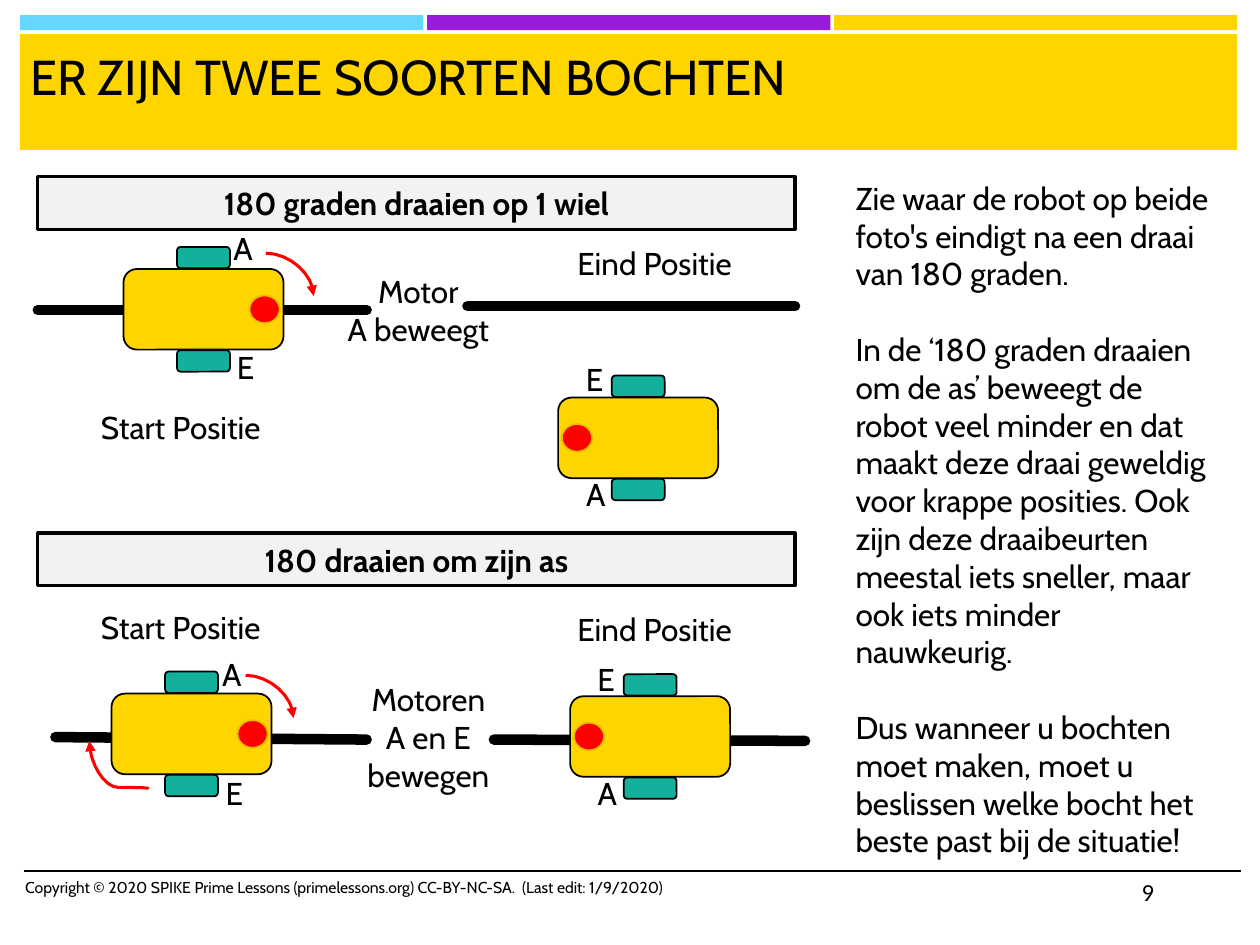
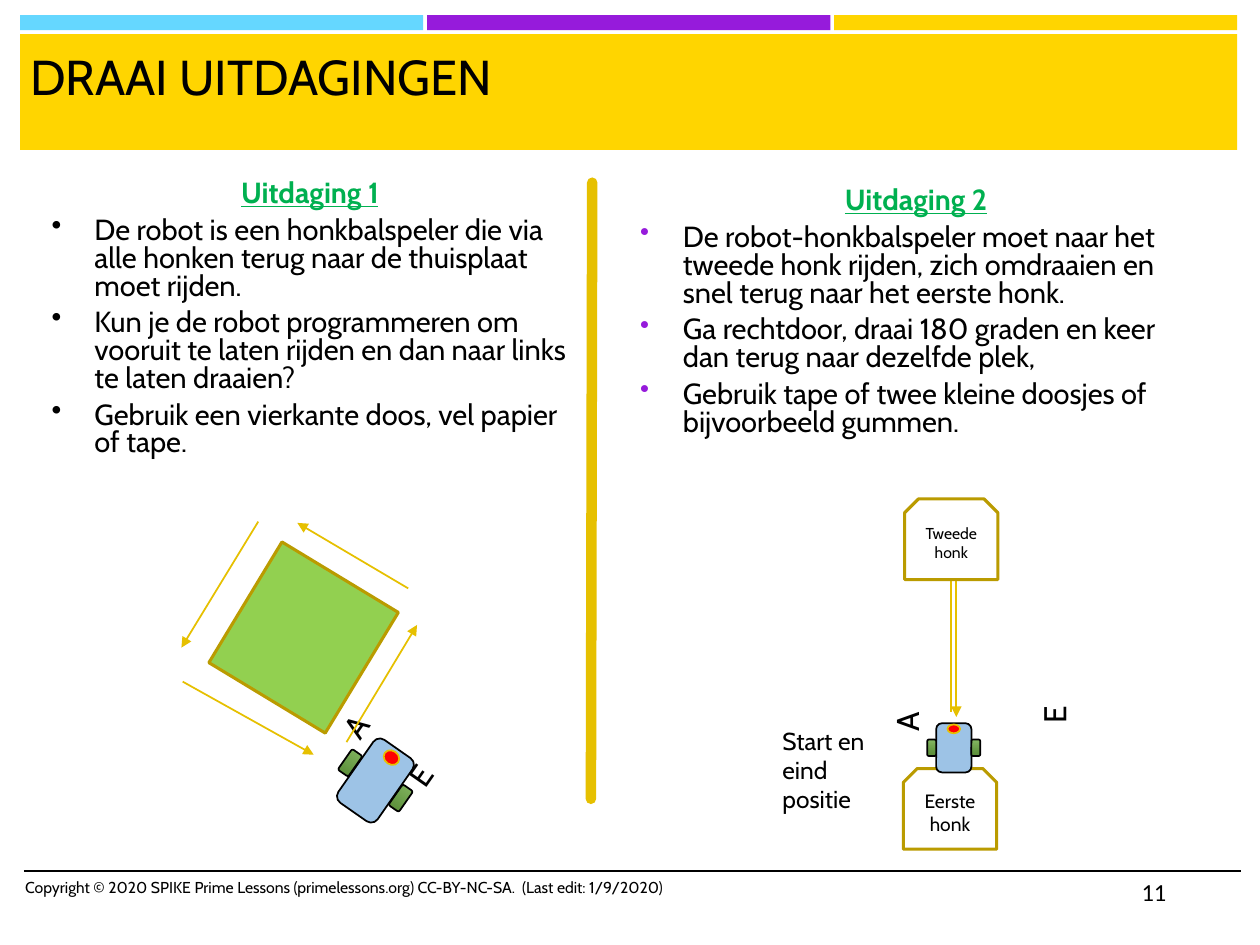
import math
from dataclasses import dataclass
from typing import Any

import lxml.etree
import pptx
import pptx.dml.color
import pptx.enum.shapes
import pptx.enum.text
import pptx.oxml.ns
import pptx.util

COLS, ROWS = 100, 75  # square grid cells, ten to the inch
HUES = {
    "black": "000000", "white": "FFFFFF", "pale": "F2F2F2", "sky": "65D7FF",
    "violet": "961BDB", "gold": "FFD500", "amber": "E6C000", "bronze": "BA9B00",
    "teal": "13B09B", "red": "FF0000", "green": "00B050", "grass": "92D050",
    "blue": "9DC3E6", "leaf": "83B762", "moss": "5E913C",
}
FONT = "Cabin"
FOOT = ("Copyright © 2020 SPIKE Prime Lessons (primelessons.org) CC-BY-NC-SA.  "
        "(Last edit: 1/9/2020)")
KIND = pptx.enum.shapes.MSO_SHAPE
LEFT, MID = pptx.enum.text.PP_ALIGN.LEFT, pptx.enum.text.PP_ALIGN.CENTER
Point = tuple[float, float]
Box = tuple[float, float, float, float]


@dataclass(frozen=True)
class Label:
    text: str
    box: Box
    size: float = 18
    align: Any = LEFT
    turn: float = 0
    bold: bool = False
    font: str = FONT
    gap: float = 0
    mid: bool = False
    wrap: bool = True


@dataclass(frozen=True)
class Line:
    start: Point
    end: Point
    hue: str = "amber"
    width: float = 1
    arrow: bool = True


@dataclass(frozen=True)
class Model:
    """Sizes of a robot that faces up; span and reach run from its centre."""
    body: Point
    wheel: Point
    span: float
    light: Point
    reach: float
    paint: str
    tyre: tuple[str, ...]


BIG = Model((6.4, 12.7), (1.7, 4.2), 4.1, (2.2, 2.4), 4.85, "gold", ("teal",))
TILT = Model((3.8, 6.1), (1, 2), 2.45, (1.3, 1.1), 2.22, "blue", ("leaf", "moss"))
MINI = Model((2.8, 3.9), (0.7, 1.3), 1.75, (1, 0.7), 1.5, "blue", ("leaf", "moss"))


def cell(count: float) -> int:
    return pptx.util.Inches(count / 10)


def color(name: str) -> pptx.dml.color.RGBColor:
    return pptx.dml.color.RGBColor.from_string(HUES[name])


def child(node: Any, tag: str, **attrs: str) -> Any:
    return lxml.etree.SubElement(node, pptx.oxml.ns.qn(tag), **attrs)


def stroke(item: Any, hue: str, width: float, arrow: bool = False) -> None:
    item.line.color.rgb = color(hue)
    item.line.width = pptx.util.Pt(width)
    ln = item.line._get_or_add_ln()
    if width > 2:
        ln.set("cap", "rnd")
    child(ln, "a:round")
    if arrow:
        child(ln, "a:tailEnd", type="triangle")


def form(slide: Any, kind: Any, box: Box, fill: tuple[str, ...],
         edge: str = "", width: float = 1, turn: float = 0) -> Any:
    """Add a preset shape; two fill colours make a gradient from top down."""
    item = slide.shapes.add_shape(kind, *map(cell, box))
    item.shadow.inherit = False
    item.rotation = turn
    if len(fill) == 2:
        item.fill.gradient()
        item.fill.gradient_angle = 270
        for stop, hue, place in zip(item.fill.gradient_stops, fill, (0, 0.84)):
            stop.color.rgb = color(hue)
            stop.position = place
    else:
        item.fill.solid()
        item.fill.fore_color.rgb = color(fill[0])
    if edge:
        stroke(item, edge, width)
    else:
        item.line.fill.background()
    return item


def trace(slide: Any, points: list[Point], closed: bool) -> Any:
    pen = slide.shapes.build_freeform(*map(cell, points[0]), scale=1.0)
    pen.add_line_segments([(cell(x), cell(y)) for x, y in points[1:]], close=closed)
    item = pen.convert_to_shape()
    item.shadow.inherit = False
    return item


def frame(item: Any, wrap: bool = True) -> Any:
    body = item.text_frame
    body.word_wrap = wrap
    for side in ("left", "right", "top", "bottom"):
        setattr(body, f"margin_{side}", cell(0.5))
    return body


def style(para: Any, size: float, hue: str = "black", bold: bool = False,
          font: str = FONT) -> None:
    para.font.size = pptx.util.Pt(size)
    para.font.name = font
    para.font.bold = bold
    para.font.color.rgb = color(hue)


def fill_in(item: Any, label: Label) -> None:
    body = frame(item, label.wrap)
    anchor = pptx.enum.text.MSO_ANCHOR
    body.vertical_anchor = anchor.MIDDLE if label.mid else anchor.TOP
    body.text = label.text
    for index, para in enumerate(body.paragraphs):
        para.alignment = label.align
        if index and label.gap:
            para.space_before = pptx.util.Pt(label.gap)
        style(para, label.size, bold=label.bold, font=label.font)


def write(slide: Any, label: Label) -> None:
    item = slide.shapes.add_textbox(*map(cell, label.box))
    item.rotation = label.turn
    fill_in(item, label)


def letter(slide: Any, text: str, at: Point, turn: float = 0) -> None:
    """Write one motor letter centred on a point."""
    write(slide, Label(text, (at[0] - 1.5, at[1] - 1.95, 3, 3.9),
                       align=MID, turn=turn))


def draw(slide: Any, line: Line) -> None:
    item = slide.shapes.add_connector(
        pptx.enum.shapes.MSO_CONNECTOR.STRAIGHT,
        *map(cell, line.start + line.end))
    stroke(item, line.hue, line.width, line.arrow)
    child(item._element.spPr, "a:effectLst")


def curve(slide: Any, *knots: Point) -> None:
    """Draw a red arrow along chained cubic curves."""
    points = [knots[0]]
    for base in range(0, len(knots) - 1, 3):
        part = knots[base:base + 4]
        for step in range(1, 9):
            t = step / 8
            rates = [math.comb(3, k) * t ** k * (1 - t) ** (3 - k) for k in range(4)]
            points.append((sum(r * p[0] for r, p in zip(rates, part)),
                           sum(r * p[1] for r, p in zip(rates, part))))
    item = trace(slide, points, False)
    item.fill.background()
    stroke(item, "red", 1.75, True)


def robot(slide: Any, model: Model, at: Point, turn: float = 0) -> None:
    angle = math.radians(turn)

    def part(kind: Any, size: Point, right: float, down: float,
             fill: tuple[str, ...], edge: str = "black") -> None:
        x = at[0] + right * math.cos(angle) - down * math.sin(angle)
        y = at[1] + right * math.sin(angle) + down * math.cos(angle)
        form(slide, kind, (x - size[0] / 2, y - size[1] / 2, *size),
             fill, edge, turn=turn)

    part(KIND.ROUNDED_RECTANGLE, model.body, 0, 0, (model.paint,))
    for side in (1, -1):
        part(KIND.ROUNDED_RECTANGLE, model.wheel, side * model.span, 0, model.tyre)
    part(KIND.OVAL, model.light, 0, -model.reach, ("red",), "amber")


def base(slide: Any, text: str, left: float, top: float, size: float) -> None:
    wide, high, cut = 7.4, 6.4, 1.1
    right, low = left + wide, top + high
    item = trace(slide, [(left + cut, top), (right - cut, top), (right, top + cut),
                         (right, low), (left, low), (left, top + cut)], True)
    item.fill.solid()
    item.fill.fore_color.rgb = color("white")
    stroke(item, "bronze", 1.75)
    write(slide, Label(text, (left + 1, top + 1.1, wide - 2, 4.8), size, MID, mid=True))


def task(slide: Any, box: Box, head: str, items: list[str], dot: str,
         pitch: float) -> None:
    """Write an underlined heading with bullets below it."""
    body = frame(slide.shapes.add_textbox(*map(cell, box)))
    body.text = "\n".join([head, *items])
    first, *rest = body.paragraphs
    first.alignment = MID
    first.line_spacing = pitch
    style(first, 16.6, "green", True)
    first.font.underline = True
    for para in rest:
        para.line_spacing = 0.8
        para.space_before = pptx.util.Pt(5)
        props = para._p.get_or_add_pPr()
        props.set("marL", str(cell(3.4)))
        props.set("indent", str(-cell(3.4)))
        child(child(props, "a:buClr"), "a:srgbClr", val=HUES[dot])
        child(props, "a:buSzPct", val="92000" if dot == "violet" else "100000")
        child(props, "a:buChar", char="•")
        style(para, 16.6)


def start(deck: Any, title: str, number: str) -> Any:
    """Add a slide with its bands, title and footer."""
    slide = deck.slides.add_slide(deck.slide_layouts[6])
    for index, hue in enumerate(("sky", "violet", "gold")):
        form(slide, KIND.RECTANGLE, (1.6 + 32.3 * index, 1.2, 32, 1.2), (hue,))
    form(slide, KIND.RECTANGLE, (1.6, 2.7, 96.6, 9.2), ("gold",))
    draw(slide, Line((1.9, 69.1), (98.5, 69.1), "black", arrow=False))
    write(slide, Label(title, (1.9, 3.2, 95.7, 8.2), 28))
    write(slide, Label(FOOT, (1.5, 69.2, 54, 2.4), 9))
    write(slide, Label(number, (90.1, 69.1, 3.1, 3.2), 14, font="Calibri", wrap=False))
    return slide


def turns(deck: Any) -> None:
    slide = start(deck, "ER ZIJN TWEE SOORTEN BOCHTEN", "9")
    for first, last in (((39.2, 58.7), (63.9, 58.8)), ((4.4, 58.5), (29.1, 58.7)),
                        ((3, 24.6), (29.1, 24.6)), ((37.1, 24.3), (63.1, 24.3))):
        draw(slide, Line(first, last, "black", 6, False))
    for text, top in (("180 graden draaien op 1 wiel", 14),
                      ("180 draaien om zijn as", 42.3)):
        box = (3, top, 60.1, 4.2)
        item = form(slide, KIND.RECTANGLE, box, ("pale",), "black", 1.75)
        fill_in(item, Label(text, box, align=MID, bold=True, mid=True))
    write(slide, Label(
        "Zie waar de robot op beide foto's eindigt na een draai van 180 graden.\n"
        "In de ‘180 graden draaien om de as’ beweegt de robot veel minder en dat "
        "maakt deze draai geweldig voor krappe posities. Ook zijn deze "
        "draaibeurten meestal iets sneller, maar ook iets minder nauwkeurig.\n"
        "Dus wanneer u bochten moet maken, moet u beslissen welke bocht het "
        "beste past bij de situatie!", (67.4, 13.7, 29.7, 50.6), gap=21.6))
    for at, turn, a, e in (
            ((51.6, 58.45), 270, (48.2, 62.85), (48.1, 53.85)),
            ((50.65, 34.75), 270, (47.3, 39.15), (47.2, 30.05)),
            ((16.15, 24.55), 90, (19.3, 19.65), (19.5, 29.05)),
            ((15.2, 58.25), 90, (18.4, 53.45), (18.6, 62.85))):
        robot(slide, BIG, at, turn)
        letter(slide, "A", a)
        letter(slide, "E", e)
    for text, left, top in (("Start Positie", 5.5, 47.8), ("Eind Positie", 43.1, 47.9),
                            ("Start Positie", 5.5, 31.9), ("Eind Positie", 43.1, 18.9)):
        write(slide, Label(text, (left, top, 17.7, 3.9), align=MID))
    write(slide, Label("Motoren\nA en E bewegen", (27.2, 53.5, 13.6, 9.8), align=MID))
    write(slide, Label("Motor\nA beweegt", (26.4, 21.1, 13.6, 6.8), align=MID))
    for x, y in ((21.1, 20.1), (19.5, 53.6)):
        curve(slide, (x, y), (x + 1.9, y), (x + 3.8, y + 1.7), (x + 3.8, y + 3.4))
    curve(slide, (11.8, 62.6), (11.8, 62.5), (10.6, 62.5), (9.4, 62.5),
          (8.3, 62.5), (7.1, 60.6), (7.1, 58.8))


def tasks(deck: Any) -> None:
    slide = start(deck, "DRAAI UITDAGINGEN", "11")
    task(slide, (50.3, 13.9, 44.8, 21.9), "Uitdaging 2", [
        "De robot-honkbalspeler moet naar het tweede honk rijden, zich omdraaien "
        "en snel terug naar het eerste honk.",
        "Ga rechtdoor, draai 180 graden en keer dan terug naar dezelfde plek,",
        "Gebruik tape of twee kleine doosjes of bijvoorbeeld gummen."], "violet", 1.0)
    task(slide, (3.6, 13.9, 42, 23.8), "Uitdaging 1", [
        "De robot is een honkbalspeler die via alle honken terug naar de "
        "thuisplaat moet rijden.",
        "Kun je de robot programmeren om vooruit te laten rijden en dan naar "
        "links te laten draaien?",
        "Gebruik een vierkante doos, vel papier of tape."], "black", 0.8)
    draw(slide, Line((46.9, 63.4), (47, 14.5), width=6, arrow=False))

    form(slide, KIND.RECTANGLE, (18.5, 45.2, 11.2, 10.8), ("grass",), "bronze",
         1.75, 301.2)
    robot(slide, TILT, (29.8, 61.95), 34.9)
    letter(slide, "A", (28.2, 57.6), 304.9)
    letter(slide, "E", (33.3, 61.5), 304.9)
    for line in (Line((20.5, 41.4), (14.4, 51.4)), Line((32.4, 46.7), (23.6, 41.5)),
                 Line((27.5, 58.9), (33.1, 49.6)), Line((14.5, 54.1), (24.9, 59.9)),
                 Line((75.5, 56.5), (75.5, 44.9)), Line((75.9, 46), (75.9, 56.9))):
        draw(slide, line)

    write(slide, Label("Start en\neind positie", (61.6, 57.1, 9.4, 7.7), 14))
    base(slide, "Eerste\nhonk", 71.7, 61, 11)
    robot(slide, MINI, (75.7, 59.35))
    letter(slide, "A", (71.9, 57.3), 270)
    letter(slide, "E", (83.6, 56.7), 270)
    base(slide, "Tweede\nhonk", 71.8, 39.6, 9)


def main() -> None:
    deck = pptx.Presentation()
    deck.slide_width, deck.slide_height = cell(COLS), cell(ROWS)
    turns(deck)
    tasks(deck)
    deck.save("out.pptx")


if __name__ == "__main__":
    main()
